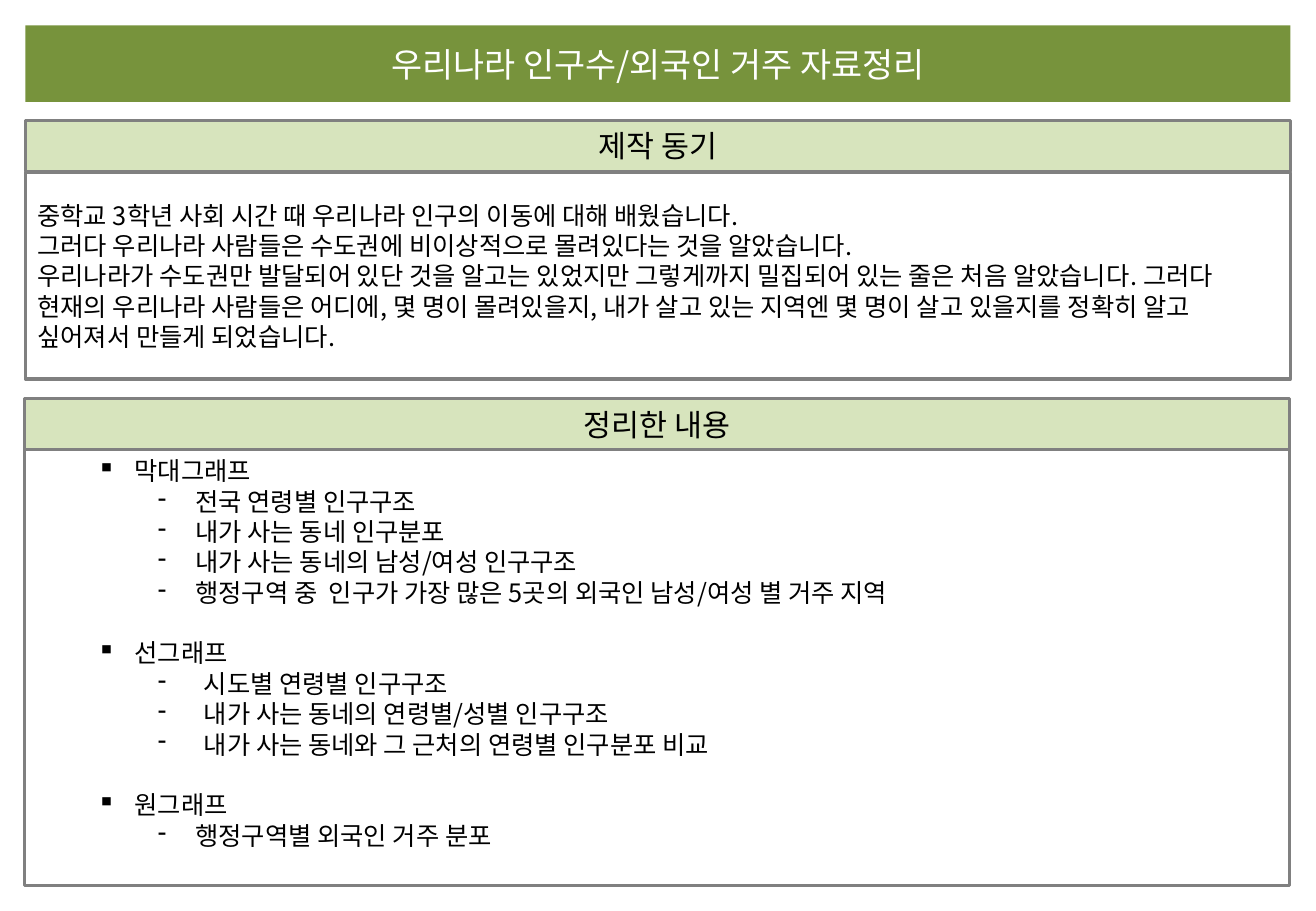
from lxml.etree import SubElement
from pptx import Presentation
from pptx.dml.color import RGBColor
from pptx.enum.shapes import MSO_SHAPE as SHAPE
from pptx.enum.text import MSO_ANCHOR as ANCHOR, PP_ALIGN as ALIGN
from pptx.oxml.ns import qn
from pptx.util import Pt

PX = 9144  # 100 px to the inch
FONT = "Noto Sans CJK KR"
LEAD = Pt(18)


def color(text):
    return RGBColor.from_string(text)


def box(area, lines, size, fill=None, line="808080", ink="000000", align=ALIGN.CENTER):
    """Add a rectangle with one paragraph per line and return its text frame."""
    shape = slide.shapes.add_shape(SHAPE.RECTANGLE, *(n * PX for n in area))
    shape.shadow.inherit = False
    if fill:
        shape.fill.solid()
        shape.fill.fore_color.rgb = color(fill)
    else:
        shape.fill.background()
    if line:
        shape.line.color.rgb = color(line)
        shape.line.width = Pt(2)
    else:
        shape.line.fill.background()
    frame = shape.text_frame
    frame.word_wrap = True
    frame.vertical_anchor = ANCHOR.MIDDLE
    frame.text = "\n".join(lines)
    for para in frame.paragraphs:
        para.alignment = align
        for run in para.runs:
            run.font.size = Pt(size)
            run.font.color.rgb = color(ink)
            run.font.name = FONT
            SubElement(run._r.get_or_add_rPr(), qn("a:ea"), typeface=FONT)
    return frame


prs = Presentation()
prs.slide_width, prs.slide_height = 1083 * PX, 750 * PX
slide = prs.slides.add_slide(prs.slide_layouts[6])

box((21, 21, 1041, 63), ["우리나라 인구수/외국인 거주 자료정리"], 20, "77933C", None, "FFFFFF")

motive = [
    "중학교 3학년 사회 시간 때 우리나라 인구의 이동에 대해 배웠습니다.",
    "그러다 우리나라 사람들은 수도권에 비이상적으로 몰려있다는 것을 알았습니다.",
    "우리나라가 수도권만 발달되어 있단 것을 알고는 있었지만 그렇게까지 밀집되어 있는 줄은 "
    "처음 알았습니다. 그러다 현재의 우리나라 사람들은 어디에, 몇 명이 몰려있을지, 내가 살고 있는 "
    "지역엔 몇 명이 살고 있을지를 정확히 알고 싶어져서 만들게 되었습니다.",
]
frame = box((21, 142, 1041, 170), motive, 15, align=ALIGN.LEFT)
for para in frame.paragraphs:
    para.line_spacing = LEAD
box((21, 99, 1041, 42), ["제작 동기"], 18, "D7E4BD")

# Graph type, hanging indent of its items, items
graphs = [
    ("막대그래프", 31, [
        "전국 연령별 인구구조",
        "내가 사는 동네 인구분포",
        "내가 사는 동네의 남성/여성 인구구조",
        "행정구역 중  인구가 가장 많은 5곳의 외국인 남성/여성 별 거주 지역",
    ]),
    ("선그래프", 38, [
        "시도별 연령별 인구구조",
        "내가 사는 동네의 연령별/성별 인구구조",
        "내가 사는 동네와 그 근처의 연령별 인구분포 비교",
    ]),
    ("원그래프", 31, ["행정구역별 외국인 거주 분포"]),
]
rows = []
for kind, hang, items in graphs:
    rows.append((kind, 1, 31, "▪"))
    rows += [(item, 2, hang, "-") for item in items]

frame = box((20, 370, 1041, 359), [row[0] for row in rows], 15, align=ALIGN.LEFT)
frame.margin_bottom = 29 * PX
for i, (para, (_, level, hang, mark)) in enumerate(zip(frame.paragraphs, rows)):
    para.level = level
    para.line_spacing = LEAD
    if level == 1 and i:
        para.space_before = LEAD
    props = para._p.get_or_add_pPr()
    props.set("marL", str((50 * level + hang) * PX))
    props.set("indent", str(-hang * PX))
    SubElement(props, qn("a:buChar"), char=mark)
box((20, 328, 1041, 42), ["정리한 내용"], 18, "D7E4BD")

prs.save("out.pptx")
